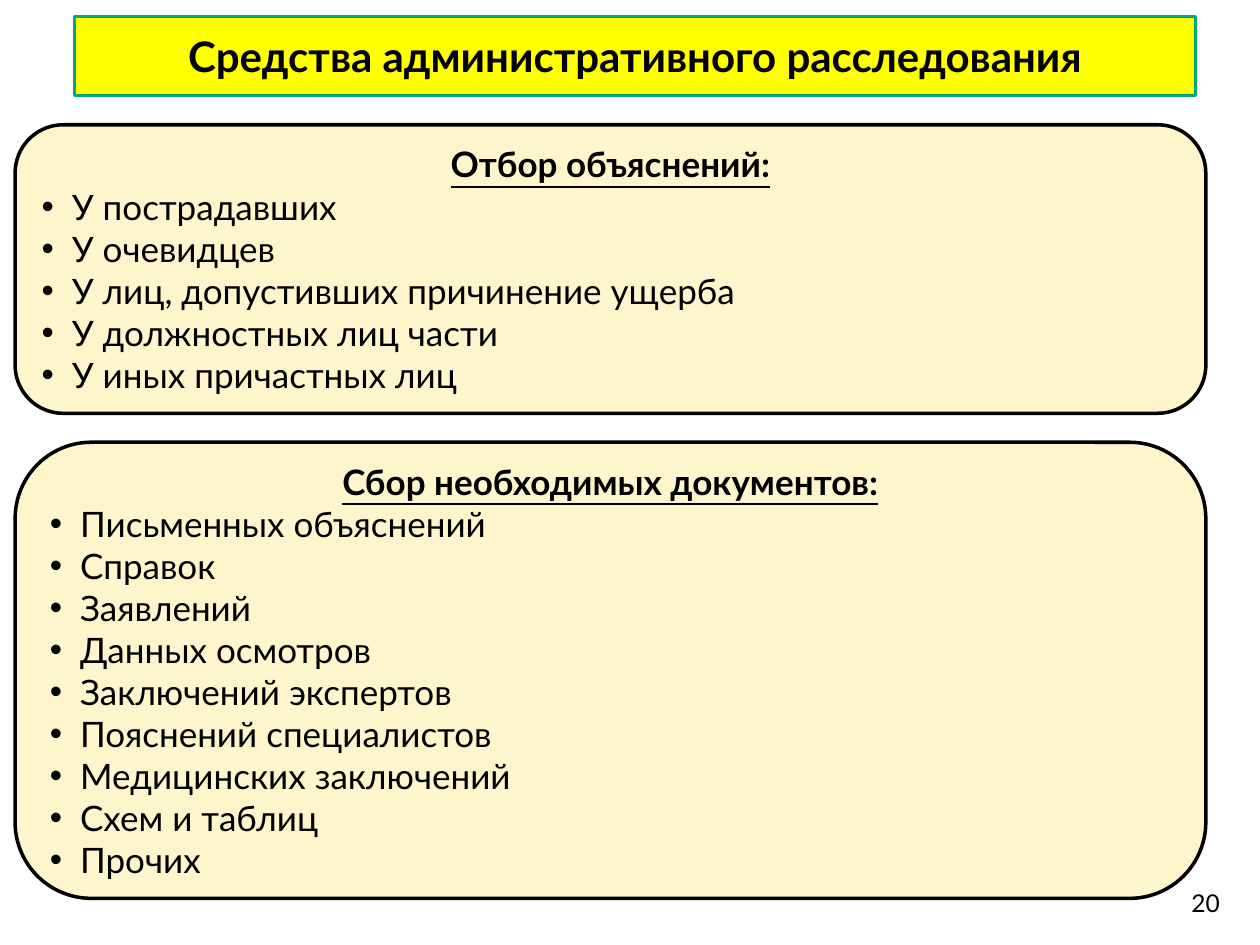
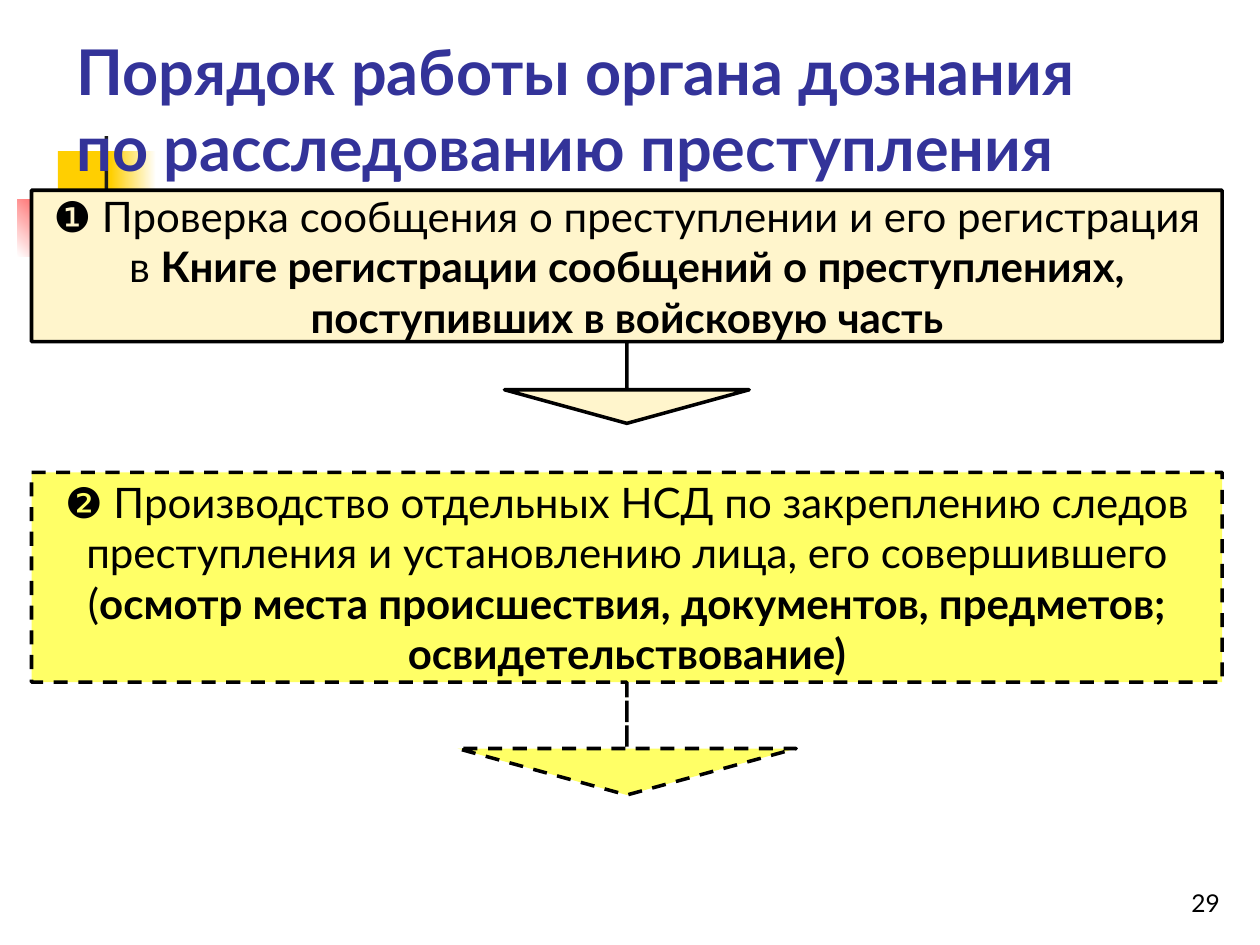
import pptx
import pptx.util
import pptx.dml.color
import pptx.enum.dml
import pptx.enum.shapes
import pptx.enum.text
import pptx.oxml.ns
import lxml.etree

Inches = pptx.util.Inches
Pt = pptx.util.Pt
SHAPE = pptx.enum.shapes.MSO_SHAPE
ALIGN = pptx.enum.text.PP_ALIGN
ANCHOR = pptx.enum.text.MSO_ANCHOR
DASH = pptx.enum.dml.MSO_LINE

COLORS = {
    "text": "000000",
    "title": "333399",
    "banner": "FFFF00",
    "banner_line": "00A77A",
    "cream": "FFF5CC",
    "yellow": "FFFF66",
    "gold": "FFCF01",
    "red": "FF0000",
    "bar": "1C1C1C",
    "white": "FFFFFF",
}
FONT = "Lato"
SYMBOL_FONT = "Arial"
HANGING = 0.24

MEANS_TITLE = "Средства административного расследования"
MEANS_NUMBER = "20"
PANELS = [
    {
        "top": 0.99,
        "height": 2.29,
        "heading": "Отбор объяснений:",
        "items": [
            "У пострадавших",
            "У очевидцев",
            "У лиц, допустивших причинение ущерба",
            "У должностных лиц части",
            "У иных причастных лиц",
        ],
    },
    {
        "top": 3.51,
        "height": 3.62,
        "heading": "Сбор необходимых документов:",
        "items": [
            "Письменных объяснений",
            "Справок",
            "Заявлений",
            "Данных осмотров",
            "Заключений экспертов",
            "Пояснений специалистов",
            "Медицинских заключений",
            "Схем и таблиц",
            "Прочих",
        ],
    },
]

ORDER_TITLE = ["Порядок работы органа дознания", "по расследованию преступления"]
ORDER_NUMBER = "29"
STEPS = [
    {
        "top": 1.51,
        "height": 1.85,
        "fill": "cream",
        "dash": None,
        "mark": "❶",
        "plain": " Проверка сообщения о преступлении и его регистрация в ",
        "bold": "Книге регистрации сообщений о преступлениях, поступивших в войсковую часть",
    },
    {
        "top": 3.75,
        "height": 2.56,
        "fill": "yellow",
        "dash": DASH.DASH,
        "mark": "❷",
        "plain": " Производство отдельных НСД по закреплению следов преступления"
                 " и установлению лица, его совершившего (",
        "bold": "осмотр места происшествия, документов, предметов; освидетельствование)",
    },
]
CALLOUT_ADJUSTMENTS = (-0.44, 0.525, 0.144, 0.65)

ORNAMENTS = [
    ((0.46, 1.2, 0.48, 0.52), ("gold",), 0),
    ((0.88, 1.2, 0.36, 0.52), ("gold", "white"), 0),
    ((0.14, 1.58, 0.61, 0.46), ("white", "red"), 45),
    ((0.83, 1.08, 0.03, 1.15), ("bar",), 0),
]


def rgb(name):
    return pptx.dml.color.RGBColor.from_string(COLORS[name])


def add_run(p, text, size, color="text", bold=False, underline=False, font=FONT):
    r = p.add_run()
    r.text = text
    r.font.size = Pt(size)
    r.font.name = font
    r.font.bold = bold
    r.font.underline = underline
    r.font.color.rgb = rgb(color)


def set_frame(sp, anchor, align):
    tf = sp.text_frame
    tf.word_wrap = True
    tf.vertical_anchor = anchor
    p = tf.paragraphs[0]
    p.alignment = align
    return p


def add_box(s, kind, box, fill, line=None, dash=None):
    sp = s.shapes.add_shape(kind, *map(Inches, box))
    sp.shadow.inherit = False
    sp.fill.solid()
    sp.fill.fore_color.rgb = rgb(fill)
    if line is None:
        sp.line.fill.background()
    else:
        sp.line.color.rgb = rgb(line)
        sp.line.width = Pt(2)
        if dash is not None:
            sp.line.dash_style = dash
    return sp


def add_bullet(p):
    pPr = p._p.get_or_add_pPr()
    pPr.set("marL", str(Inches(HANGING)))
    pPr.set("indent", str(-Inches(HANGING)))
    qn = pptx.oxml.ns.qn
    lxml.etree.SubElement(pPr, qn("a:buFont"), typeface=SYMBOL_FONT)
    lxml.etree.SubElement(pPr, qn("a:buChar"), char="•")


def add_number(s, number):
    sp = s.shapes.add_textbox(*map(Inches, (7.7, 6.83, 2.08, 0.5)))
    add_run(set_frame(sp, ANCHOR.BOTTOM, ALIGN.RIGHT), number, 14)


def add_panel(s, panel):
    box = (0.12, panel["top"], 9.45, panel["height"])
    sp = add_box(s, SHAPE.ROUNDED_RECTANGLE, box, "cream", "text")
    sp.adjustments[0] = 0.167
    p = set_frame(sp, ANCHOR.MIDDLE, ALIGN.CENTER)
    add_run(p, panel["heading"], 20, bold=True, underline=True)
    for item in panel["items"]:
        p = sp.text_frame.add_paragraph()
        p.alignment = ALIGN.LEFT
        add_bullet(p)
        add_run(p, item, 20)


def add_step(s, step):
    box = (0.25, step["top"], 9.45, step["height"])
    sp = add_box(s, SHAPE.DOWN_ARROW_CALLOUT, box, step["fill"], "text", step["dash"])
    for i, value in enumerate(CALLOUT_ADJUSTMENTS):
        sp.adjustments[i] = value
    p = set_frame(sp, ANCHOR.MIDDLE, ALIGN.CENTER)
    add_run(p, step["mark"], 24, font=SYMBOL_FONT)
    add_run(p, step["plain"], 24)
    add_run(p, step["bold"], 24, bold=True)


def add_ornament(s, box, colors, angle):
    sp = add_box(s, SHAPE.RECTANGLE, box, colors[0])
    if len(colors) > 1:
        sp.fill.gradient()
        sp.fill.gradient_angle = angle
        for stop, color, position in zip(sp.fill.gradient_stops, colors, (0, 1)):
            stop.color.rgb = rgb(color)
            stop.position = position


def build_means(s):
    add_number(s, MEANS_NUMBER)
    sp = add_box(s, SHAPE.FLOWCHART_PROCESS, (0.59, 0.13, 8.9, 0.63), "banner", "banner_line")
    add_run(set_frame(sp, ANCHOR.MIDDLE, ALIGN.CENTER), MEANS_TITLE, 24, bold=True)
    for panel in PANELS:
        add_panel(s, panel)


def build_order(s):
    for ornament in ORNAMENTS:
        add_ornament(s, *ornament)
    add_number(s, ORDER_NUMBER)
    sp = s.shapes.add_textbox(*map(Inches, (0.51, 0.28, 9.19, 1.18)))
    p = set_frame(sp, ANCHOR.BOTTOM, ALIGN.LEFT)
    sp.text_frame.margin_top = sp.text_frame.margin_bottom = 0
    for i, line in enumerate(ORDER_TITLE):
        if i:
            p.add_line_break()
        add_run(p, line, 36, "title", bold=True)
    for step in STEPS:
        add_step(s, step)


def main():
    prs = pptx.Presentation()
    prs.slide_width = Inches(10)
    prs.slide_height = Inches(7.5)
    for build in (build_means, build_order):
        build(prs.slides.add_slide(prs.slide_layouts[6]))
    prs.save("out.pptx")


if __name__ == "__main__":
    main()
